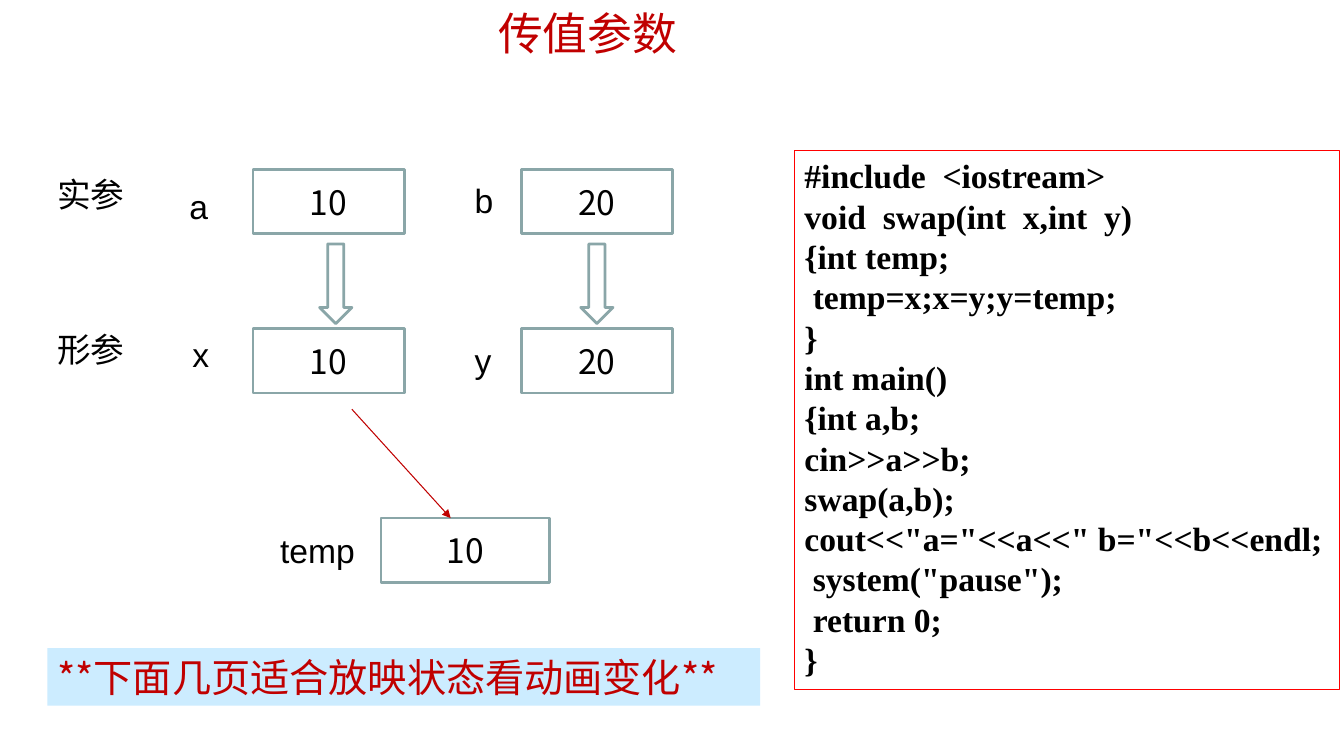
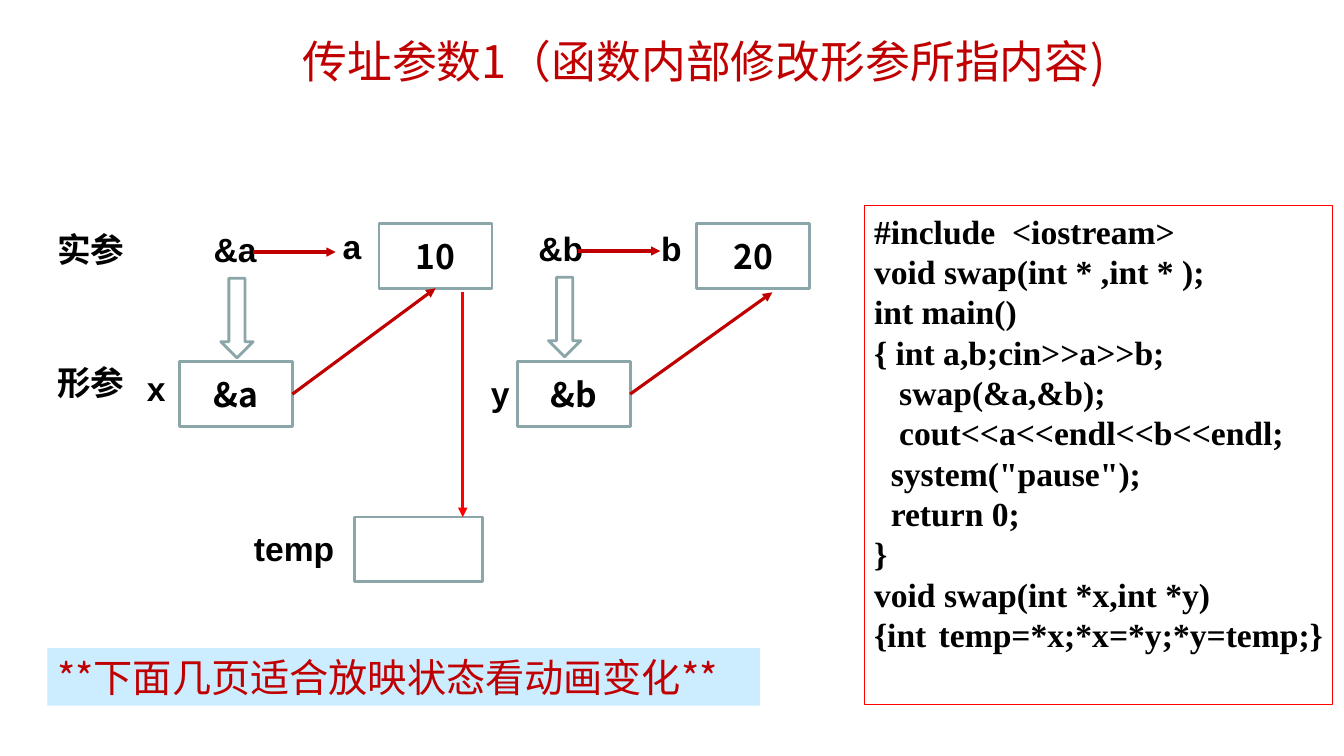
from lxml.etree import SubElement
from pptx import Presentation
from pptx.dml.color import RGBColor
from pptx.enum.shapes import MSO_CONNECTOR, MSO_SHAPE
from pptx.enum.text import MSO_ANCHOR, MSO_AUTO_SIZE, PP_ALIGN
from pptx.oxml.ns import qn
from pptx.util import Emu, Pt

EMU_PER_PX = 9144
COLORS = {
    "text": "000000",
    "accent": "C00000",
    "outline": "8AA6A8",
    "alert": "FF0000",
    "band": "CCECFF",
}
SANS = "Noto Sans CJK SC"
NOTE = "**下面几页适合放映状态看动画变化**"
TOP, LEFT, BOTTOM, RIGHT = range(4)

VALUE_CODE = """#include  <iostream>
void  swap(int  x,int  y)
{int temp;
 temp=x;x=y;y=temp;
}
int main()
{int a,b;
cin>>a>>b;
swap(a,b);
cout<<"a="<<a<<" b="<<b<<endl;
 system("pause");
 return 0;
}"""

# The closing blank keeps the last justified line spread to the full width.
ADDRESS_CODE = """#include  <iostream>
void swap(int * ,int * );
int main()
{ int a,b;cin>>a>>b;
   swap(&a,&b);
   cout<<a<<endl<<b<<endl;
  system("pause");
  return 0;
}
void swap(int *x,int *y)
{int temp=*x;*x=*y;*y=temp;} """


def px(length):
    return Emu(length * EMU_PER_PX)


def color(name):
    return RGBColor.from_string(COLORS[name])


def write(shape, text, size=24, font=SANS, east_asian=SANS, ink="text", bold=False,
          align=PP_ALIGN.LEFT, anchor=MSO_ANCHOR.TOP, leading=None, hanging=0):
    """Fill a shape with one paragraph per line of text."""
    frame = shape.text_frame
    frame.word_wrap = True
    frame.auto_size = MSO_AUTO_SIZE.NONE
    frame.vertical_anchor = anchor
    for index, line in enumerate(text.split("\n")):
        para = frame.add_paragraph() if index else frame.paragraphs[0]
        para.alignment = align
        if leading:
            para.line_spacing = Pt(leading)
        if hanging:
            properties = para._p.get_or_add_pPr()
            properties.set("marL", str(px(hanging)))
            properties.set("indent", str(-px(hanging)))
        span = para.add_run()
        span.text = line
        span.font.size = Pt(size)
        span.font.bold = bold
        span.font.color.rgb = color(ink)
        span.font.name = font
        SubElement(span.font._element, qn("a:ea"), typeface=east_asian)


class Slides:
    """Shared style of the deck together with the page being drawn."""

    def __init__(self):
        self.deck = Presentation()
        self.deck.slide_width, self.deck.slide_height = px(1333), px(750)
        self.page = None
        self.bold = False

    def start(self, title, left, top, width, bold=False):
        self.page = self.deck.slides.add_slide(self.deck.slide_layouts[5])
        self.bold = bold
        box = self.page.shapes.title
        box.left, box.top, box.width, box.height = map(px, (left, top, width, 64))
        write(box, title, size=32, ink="accent")

    def shape(self, kind, left, top, width, height, fill=None, line=None, weight=2):
        shape = self.page.shapes.add_shape(kind, *map(px, (left, top, width, height)))
        shape.shadow.inherit = False
        if fill:
            shape.fill.solid()
            shape.fill.fore_color.rgb = color(fill)
        else:
            shape.fill.background()
        if line:
            shape.line.color.rgb = color(line)
            shape.line.width = Pt(weight)
        else:
            shape.line.fill.background()
        return shape

    def label(self, text, left, top, width=57):
        box = self.page.shapes.add_textbox(*map(px, (left, top, width, 50)))
        write(box, text, font="Arial", bold=self.bold)

    def variable(self, text, left, top, width):
        """Draw a memory cell with its value."""
        cell = self.shape(MSO_SHAPE.RECTANGLE, left, top, width, 64, line="outline")
        if text:
            write(cell, text, bold=self.bold, align=PP_ALIGN.CENTER,
                  anchor=MSO_ANCHOR.MIDDLE)
        return cell

    def block_arrow(self, left, top):
        self.shape(MSO_SHAPE.DOWN_ARROW, left, top, 32, 79, line="outline")

    def code(self, text, left, top, width, height, **style):
        box = self.shape(MSO_SHAPE.RECTANGLE, left, top, width, height,
                         line="alert", weight=0.75)
        write(box, text, font="Times New Roman", bold=True, leading=28.8, **style)

    def note(self):
        band = self.shape(MSO_SHAPE.RECTANGLE, 47, 643, 707, 57, fill="band")
        write(band, NOTE, size=28, font="Noto Sans CJK JP",
              east_asian="Noto Sans CJK JP", ink="accent")

    def arrow(self, start, end, ink="accent", weight=2.25, source=None, target=None):
        """Draw an arrow; source and target are (shape, side) pairs to join."""
        line = self.page.shapes.add_connector(
            MSO_CONNECTOR.STRAIGHT, *map(px, (*start, *end)))
        if source:
            line.begin_connect(*source)
        if target:
            line.end_connect(*target)
        line.line.color.rgb = color(ink)
        line.line.width = Pt(weight)
        SubElement(line.line._get_or_add_ln(), qn("a:tailEnd"), type="triangle")
        SubElement(line._element.spPr, qn("a:effectLst"))


def pass_by_value(slides):
    slides.start("传值参数", 484, 1, 230)
    slides.label("实参", 47, 168, 93)
    slides.label("形参", 47, 321, 93)
    for left, value in ((251, "10"), (517, "20")):
        for top in (168, 326):
            slides.variable(value, left, top, 150)
    for name, left, top in (("a", 178, 180), ("b", 461, 174),
                            ("x", 181, 326), ("y", 461, 332)):
        slides.label(name, left, top)
    for left in (317, 576):
        slides.block_arrow(left, 242)
    slides.code(VALUE_CODE, 788, 149, 541, 535, hanging=38)
    slides.variable("10", 378, 514, 167)
    slides.label("temp", 268, 521, 102)
    slides.arrow((349, 406), (447, 514), weight=0.75)
    slides.note()


def pass_by_address(slides):
    slides.start("传址参数1（函数内部修改形参所指内容)", 290, 28, 860, bold=True)
    slides.label("实参", 47, 222, 93)
    slides.label("形参", 47, 354, 93)
    value_a = slides.variable("10", 376, 222, 112)
    slides.variable("20", 691, 222, 112)
    pointer_x = slides.variable("&a", 178, 359, 112)
    pointer_y = slides.variable("&b", 513, 359, 112)
    for name, left, top in (("a", 330, 219), ("b", 646, 221),
                            ("x", 136, 360), ("y", 477, 365)):
        slides.label(name, left, top)
    slides.code(ADDRESS_CODE, 857, 204, 465, 495, align=PP_ALIGN.JUSTIFY)
    for name, left, top, tail, height in (("&a", 202, 222, 251, 250),
                                          ("&b", 524, 221, 573, 249)):
        slides.label(name, left, top, 82)
        slides.arrow((tail, height), (tail + 82, height))
    slides.block_arrow(219, 276)
    slides.block_arrow(544, 275)
    slides.arrow((290, 391), (432, 286),
                 source=(pointer_x, RIGHT), target=(value_a, BOTTOM))
    slides.arrow((625, 391), (766, 290), source=(pointer_y, RIGHT))
    slides.variable("", 352, 513, 127)
    slides.label("temp", 242, 519, 102)
    slides.arrow((459, 290), (459, 513), ink="alert")
    slides.note()


def main():
    slides = Slides()
    pass_by_value(slides)
    pass_by_address(slides)
    slides.deck.save("out.pptx")


if __name__ == "__main__":
    main()
